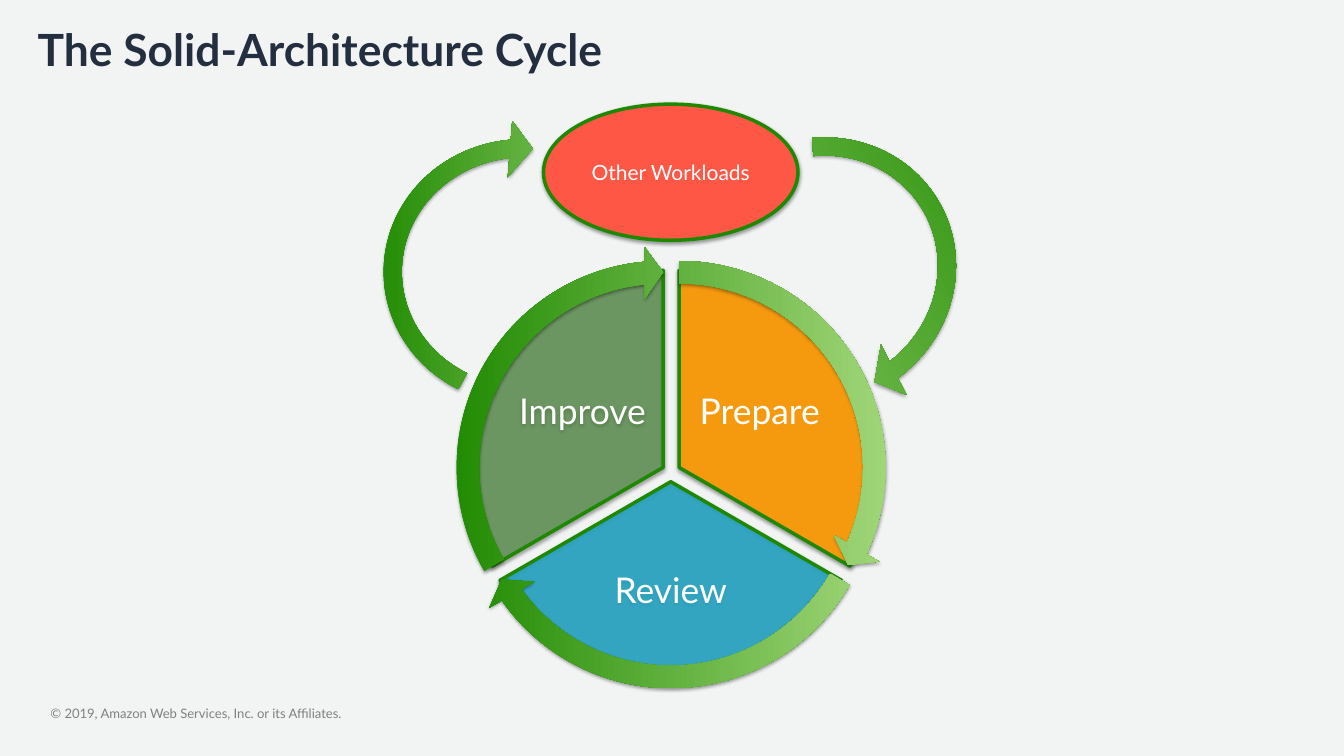
from lxml.etree import SubElement
from pptx import Presentation
from pptx.dml.color import RGBColor
from pptx.enum.shapes import MSO_SHAPE
from pptx.enum.text import MSO_ANCHOR, PP_ALIGN
from pptx.oxml.ns import qn
from pptx.util import Inches, Pt

COLUMNS, ROWS = 16, 9
COLORS = {
    "background": "F2F4F4",
    "title": "232F3E",
    "footer": "808080",
    "label": "FFFFFF",
    "prepare": "FF9900",
    "review": "00A1C9",
    "improve": "166700",
    "workloads": "FF5745",
    "dark_green": "1E8900",
    "light_green": "A4D87C",
    "shadow": "000000",
}
PIE_SIZE, RING_SIZE = 4.69, 5.27
HEAD_ANGLE = 3.28
# Angles are in units of 100000/60000 degrees: 216 make a full turn.
# name, opacity, center, start, end, insets that move the label off center
PHASES = [
    ("Prepare", 90, (8.085, 5.565), 162, 18, {"left": 1.92, "bottom": 1.3}),
    ("Review", 70, (7.985, 5.735), 18, 90, {"top": 2.63}),
    ("Improve", 50, (7.895, 5.565), 90, 162, {"right": 1.92, "bottom": 1.3}),
]


def color(name):
    return RGBColor.from_string(COLORS[name])


def write(frame, text, size=18, fill="label", bold=False, align=PP_ALIGN.CENTER,
          anchor=MSO_ANCHOR.MIDDLE, wrap=True, spacing=None, insets=None):
    """Write one formatted paragraph; insets maps side names to inches."""
    frame.word_wrap = wrap
    frame.vertical_anchor = anchor
    for side, inset in (insets or {}).items():
        setattr(frame, f"margin_{side}", Inches(inset))
    paragraph = frame.paragraphs[0]
    paragraph.alignment = align
    paragraph.line_spacing = spacing
    run = paragraph.add_run()
    run.text = text
    run.font.name = "Lato"
    run.font.size = Pt(size)
    run.font.bold = bold
    run.font.color.rgb = color(fill)


class CycleSlide:
    def __init__(self, presentation):
        self.column = presentation.slide_width / COLUMNS
        self.row = presentation.slide_height / ROWS
        self.slide = presentation.slides.add_slide(presentation.slide_layouts[6])
        background = self.slide.background.fill
        background.solid()
        background.fore_color.rgb = color("background")

    def place(self, left, top, width, height):
        """Turn columns and rows into lengths."""
        return (round(left * self.column), round(top * self.row),
                round(width * self.column), round(height * self.row))

    def text(self, box, text, **style):
        frame = self.slide.shapes.add_textbox(*self.place(*box)).text_frame
        write(frame, text, align=PP_ALIGN.LEFT, anchor=MSO_ANCHOR.TOP, **style)

    def shape(self, kind, box, adjustments=()):
        """Add a preset shape with the soft shadow all shapes share."""
        shape = self.slide.shapes.add_shape(kind, *self.place(*box))
        for index, value in enumerate(adjustments):
            shape.adjustments[index] = value
        shape.shadow.inherit = False
        effects = shape._element.spPr.find(qn("a:effectLst"))
        shadow = SubElement(effects, qn("a:outerShdw"), blurRad=str(Pt(3.1)),
                            dist=str(Pt(1.6)), dir="5400000", rotWithShape="0")
        shadow_color = SubElement(shadow, qn("a:srgbClr"), val=COLORS["shadow"])
        SubElement(shadow_color, qn("a:alpha"), val="38000")
        return shape

    def outlined(self, kind, box, fill, opacity=100, adjustments=()):
        shape = self.shape(kind, box, adjustments)
        shape.fill.solid()
        shape.fill.fore_color.rgb = color(fill)
        if opacity < 100:
            fill_color = shape._element.spPr.find(qn("a:solidFill"))[0]
            SubElement(fill_color, qn("a:alpha"), val=str(opacity * 1000))
        shape.line.color.rgb = color("dark_green")
        shape.line.width = Pt(3)
        return shape

    def arrow(self, box, adjustments, rotation=0):
        shape = self.shape(MSO_SHAPE.CIRCULAR_ARROW, box, adjustments)
        shape.rotation = rotation
        shape.fill.gradient()
        shape.fill.gradient_angle = 0
        stops = shape.fill.gradient_stops
        for stop, position, name in zip(stops, (0, 1), ("dark_green", "light_green")):
            stop.position = position
            stop.color.rgb = color(name)
        shape.line.fill.background()


def centered(center, size):
    return center[0] - size / 2, center[1] - size / 2, size, size


def main():
    presentation = Presentation()
    presentation.slide_width = Inches(16)
    presentation.slide_height = Inches(9)
    cycle = CycleSlide(presentation)

    cycle.text((0.6, 8.4, 7.78, 0.19),
               "© 2019, Amazon Web Services, Inc. or its Affiliates.",
               size=11.2, fill="footer",
               insets=dict.fromkeys(("left", "top", "right", "bottom"), 0))

    for name, opacity, center, start, end, insets in PHASES:
        pie = cycle.outlined(MSO_SHAPE.PIE, centered(center, PIE_SIZE), name.lower(),
                             opacity, (start, end))
        margins = {"left": 0, "top": 0, "right": 0, "bottom": 0, **insets}
        write(pie.text_frame, name, size=30.4, spacing=0.9, wrap=False, insets=margins)
    for _, _, center, start, end, _ in PHASES:
        cycle.arrow(centered(center, RING_SIZE),
                    (0.051, HEAD_ANGLE, end - HEAD_ANGLE, start, 0.059))

    workloads = cycle.outlined(MSO_SHAPE.OVAL, (6.47, 1.24, 3.03, 1.62), "workloads")
    write(workloads.text_frame, "Other Workloads")
    for left, rotation in ((4.34, 0), (7.86, 148.5)):
        cycle.arrow((left, 1.43, 3.77, 3.61),
                    (0.06, 6.34, 158.41, 71.29, 0.093), rotation)

    cycle.text((0.35, 0.22, 14.78, 1.5), "The Solid-Architecture Cycle",
               size=38, fill="title", bold=True)
    presentation.save("out.pptx")


if __name__ == "__main__":
    main()
